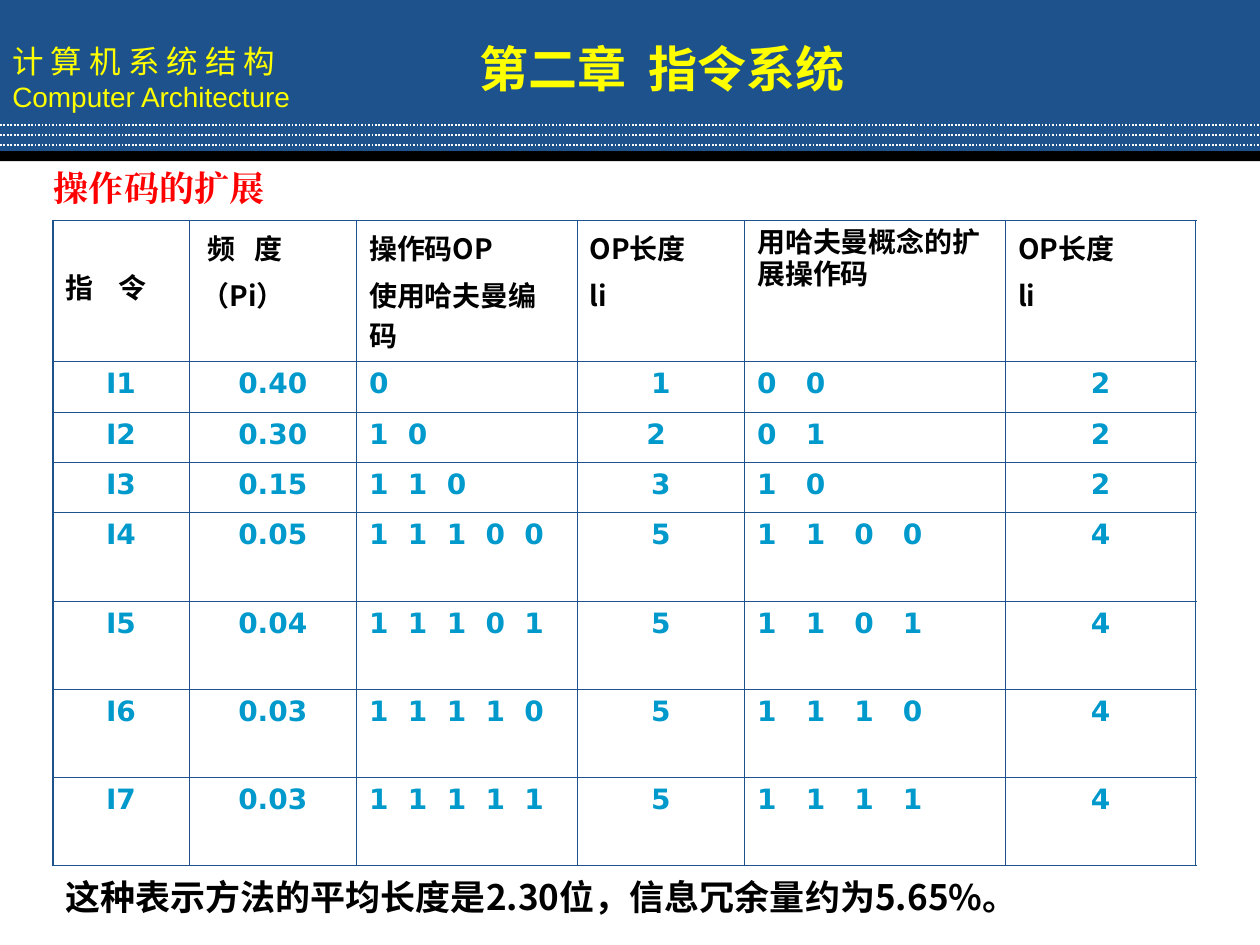
"""Build the slide on opcode extension with Huffman coding."""
import pptx
import pptx.util
import pptx.dml.color
import pptx.enum.dml
import pptx.enum.shapes
import pptx.enum.text
import pptx.oxml
import pptx.oxml.ns

Inches = pptx.util.Inches
Pt = pptx.util.Pt
qn = pptx.oxml.ns.qn
PP_ALIGN = pptx.enum.text.PP_ALIGN
MSO_ANCHOR = pptx.enum.text.MSO_ANCHOR
SANS = "Noto Sans CJK SC"
DEJAVU = "DejaVu Sans"
BLUE, YELLOW, RED, BLACK, WHITE, CYAN = "1D528D", "FFFF00", "FF0000", "000000", "FFFFFF", "0099CC"


def rgb(value):
    return pptx.dml.color.RGBColor.from_string(value)


def sub(parent, tag, **attrs):
    child = parent.makeelement(qn(tag), attrs)
    parent.append(child)
    return child


class Deck:
    def __init__(self):
        self.prs = pptx.Presentation()
        self.prs.slide_width, self.prs.slide_height = Inches(10), Inches(7.5)
        self.s = self.prs.slides.add_slide(self.prs.slide_layouts[5])

    def style(self, p, size, font, color, bold=True, align=PP_ALIGN.LEFT):
        p.alignment = align
        f = p.font
        f.size, f.bold, f.name = Pt(size), bold, font
        f.color.rgb = rgb(color)
        sub(p._p.pPr.find(qn("a:defRPr")), "a:ea", typeface=font)

    def put_lines(self, tf, lines, size, font, color, align=PP_ALIGN.LEFT):
        for i, line in enumerate(lines):
            p = tf.add_paragraph() if i else tf.paragraphs[0]
            p.text = line
            if i:
                p.space_before = Pt(4)
            self.style(p, size, font, color, align=align)

    def rect(self, x, y, w, h, color):
        sp = self.s.shapes.add_shape(pptx.enum.shapes.MSO_SHAPE.RECTANGLE,
                                     Inches(x), Inches(y), Inches(w), Inches(h))
        sp.shadow.inherit = False
        sp.fill.solid()
        sp.fill.fore_color.rgb = rgb(color)
        sp.line.fill.background()
        return sp

    def banner(self, x, y, w, h, chinese, english):
        tf = self.rect(x, y, w, h, BLUE).text_frame
        tf.word_wrap = False
        tf.vertical_anchor = MSO_ANCHOR.MIDDLE
        tf.text = f"{chinese}\n{english}"
        for p, size, font in zip(tf.paragraphs, (18, 16), (SANS, "Arial")):
            self.style(p, size, font, YELLOW, bold=False)

    def rule(self, y):
        line = self.s.shapes.add_connector(pptx.enum.shapes.MSO_CONNECTOR.STRAIGHT,
                                           0, Inches(y), Inches(10), Inches(y))
        line.line.color.rgb = rgb(WHITE)
        line.line.width = Pt(1)
        line.line.dash_style = pptx.enum.dml.MSO_LINE.ROUND_DOT
        sub(line._element.spPr, "a:effectLst")

    def text(self, x, y, w, h, line, font, color):
        tf = self.s.shapes.add_textbox(Inches(x), Inches(y), Inches(w), Inches(h)).text_frame
        tf.word_wrap = True
        self.put_lines(tf, [line], 20, font, color)

    def title(self, x, y, w, h, line):
        sp = self.s.shapes.title
        sp.left, sp.top, sp.width, sp.height = Inches(x), Inches(y), Inches(w), Inches(h)
        tf = sp.text_frame
        tf.word_wrap = True
        tf.auto_size = pptx.enum.text.MSO_AUTO_SIZE.NONE
        tf.vertical_anchor = MSO_ANCHOR.MIDDLE
        self.put_lines(tf, [line], 28, SANS, YELLOW, align=PP_ALIGN.CENTER)
        self.s.shapes._spTree.append(sp._element)

    def borders(self, cell, widths):
        tc_pr = cell._tc.get_or_add_tcPr()
        for i, (side, width) in enumerate(zip("LRTB", widths)):
            ln = sub(tc_pr, f"a:ln{side}", w=str(Pt(width)))
            sub(sub(ln, "a:solidFill"), "a:srgbClr", val=BLUE)
            tc_pr.insert(i, ln)

    def table(self, x, y, cols, rows, header, body):
        tb = self.s.shapes.add_table(len(rows), len(cols), Inches(x), Inches(y),
                                     Inches(sum(cols)), Inches(sum(rows))).table
        tb.first_row = tb.horz_banding = False
        for c, width in enumerate(cols):
            tb.columns[c].width = Inches(width)
        for r, height in enumerate(rows):
            tb.rows[r].height = Inches(height)
            for c in range(len(cols)):
                cell = tb.cell(r, c)
                cell.fill.background()
                edges = (c == 0, c == len(cols) - 1, r == 0, r == len(rows) - 1)
                self.borders(cell, [1.08 if edge else 0.45 for edge in edges])
                if r == 0:
                    font = DEJAVU if c == 4 else SANS
                    self.put_lines(cell.text_frame, header[c], 16, font, BLACK)
                else:
                    align = PP_ALIGN.LEFT if c in (2, 4) else PP_ALIGN.CENTER
                    self.put_lines(cell.text_frame, [body[r - 1][c]], 16, DEJAVU, CYAN, align)
        return tb


def main():
    d = Deck()
    d.banner(0, 0, 10, 1.23, "计 算 机 系 统 结 构", "Computer Architecture")
    d.rect(0, 1.2, 10, 0.08, BLACK)
    for i in range(3):
        d.rule(0.99 + 0.08 * i)

    header = [["指    令"], ["频   度", "（Pi）"], ["操作码OP", "使用哈夫曼编码"],
              ["OP长度", "li"], ["用哈夫曼概念的扩展操作码"], ["OP长度", "li"]]
    codes = [("0.40", "0", "1", "00"), ("0.30", "10", "2 ", "01"), ("0.15", "110", "3", "10"),
             ("0.05", "11100", "5", "1100"), ("0.04", "11101", "5", "1101"),
             ("0.03", "11110", "5", "1110"), ("0.03", "11111", "5", "1111")]
    body = [(f"I{i}", freq, "  ".join(huffman), length, "   ".join(extended), str(len(extended)))
            for i, (freq, huffman, length, extended) in enumerate(codes, 1)]
    tb = d.table(0.42, 1.75, [1.08, 1.33, 1.75, 1.33, 2.07, 1.51],
                 [1.12] + [0.4] * 3 + [0.7] * 4, header, body)
    tb.cell(0, 0).margin_top = Inches(0.36)
    tb.cell(0, 1).text_frame.paragraphs[0]._p.pPr.set("marL", str(Inches(0.05)))

    d.text(0.33, 1.27, 3.08, 0.44, "操作码的扩展", "Times New Roman", RED)
    d.text(0.42, 6.9, 9.42, 0.44, "这种表示方法的平均长度是2.30位，信息冗余量约为5.65%。", SANS, BLACK)
    d.title(3.42, 0.25, 3.67, 0.58, "第二章  指令系统")
    d.prs.save("out.pptx")


if __name__ == "__main__":
    main()
